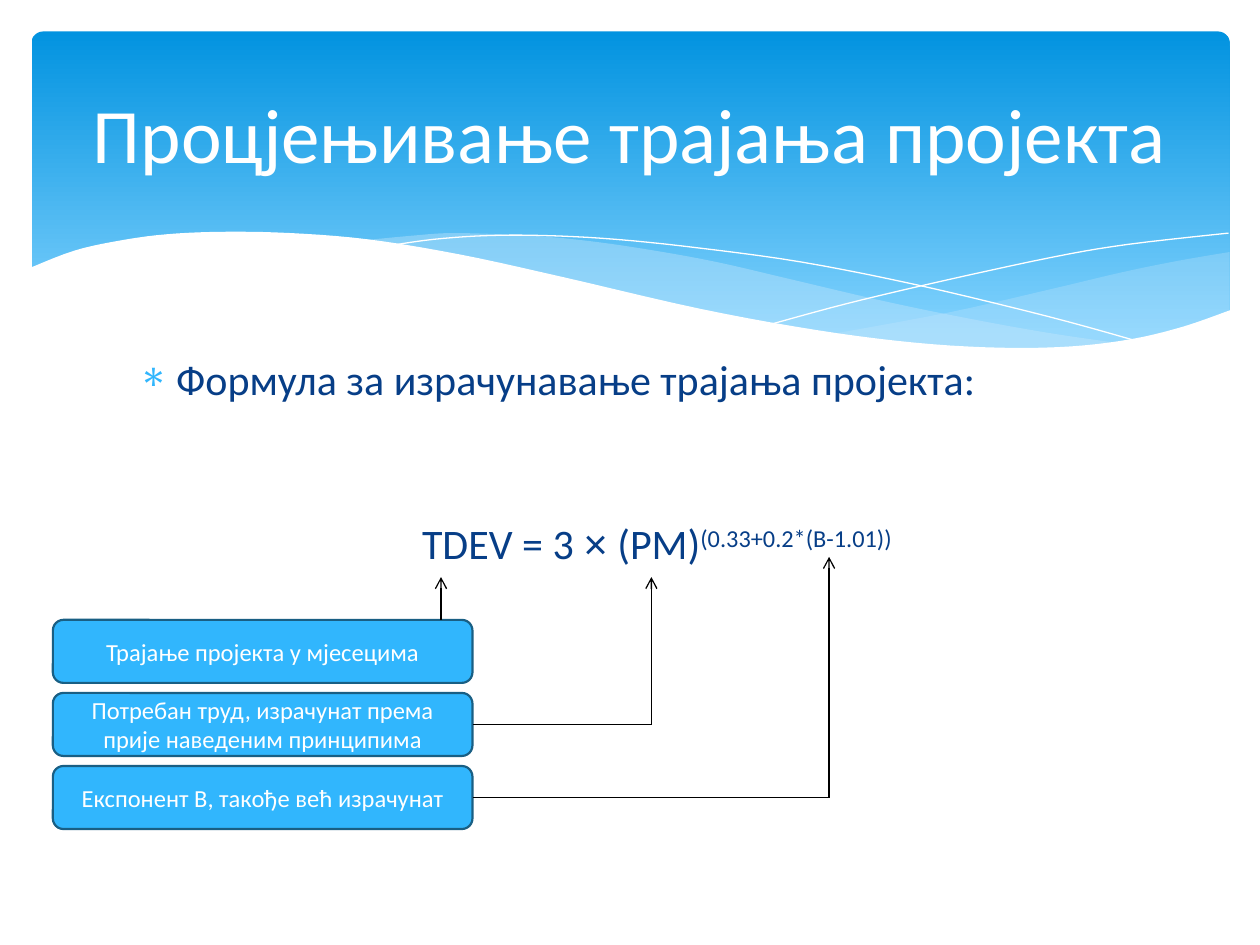
from dataclasses import dataclass
from typing import Optional

from lxml.etree import SubElement
from pptx import Presentation
from pptx.dml.color import RGBColor
from pptx.enum.shapes import MSO_CONNECTOR, MSO_SHAPE
from pptx.enum.text import MSO_ANCHOR, PP_ALIGN
from pptx.oxml.ns import qn
from pptx.util import Inches, Pt

Point = tuple[float, float]


@dataclass(frozen=True)
class Theme:
    font: str = "Calibri"
    symbol_font: str = "Arial"
    white: RGBColor = RGBColor.from_string("FFFFFF")
    black: RGBColor = RGBColor.from_string("000000")
    sky_dark: RGBColor = RGBColor.from_string("0293E0")
    sky_light: RGBColor = RGBColor.from_string("83D3FE")
    mist: RGBColor = RGBColor.from_string("C6E7FC")
    accent: RGBColor = RGBColor.from_string("31B6FD")
    border: RGBColor = RGBColor.from_string("195F84")
    text: RGBColor = RGBColor.from_string("073E87")
    title_size: int = 44
    body_size: int = 24
    label_size: int = 14


@dataclass(frozen=True)
class Wave:
    curve: list[Point]
    base: Optional[list[Point]] = None
    color: RGBColor = Theme.white
    alpha: int = 100


@dataclass(frozen=True)
class Label:
    text: str
    arrow_x: float
    tip_y: float


T = Theme()
BOX_LEFT, BOX_TOP, BOX_W, BOX_H, BOX_STEP = 0.42, 4.92, 3.33, 0.5, 0.58

WAVES = [
    Wave([(9.76, 2), (9.35, 2.07), (8.91, 2.16), (8.32, 2.3), (7.53, 2.48), (6.61, 2.65)],
         [(6.61, 2.65), (7.05, 2.71), (7.57, 2.76), (8.14, 2.78), (8.63, 2.75),
          (9.05, 2.69), (9.42, 2.59), (9.76, 2.47)], T.mist, 29),
    Wave([(8.93, 2.73), (8.37, 2.65), (7.75, 2.54), (7.06, 2.4), (6.29, 2.22), (5.69, 2.08),
          (5.14, 1.98), (4.65, 1.91), (4.2, 1.87), (3.61, 1.85), (3.28, 1.87), (2.86, 1.91)],
         [(2.86, 1.91), (3.42, 1.99), (4.04, 2.11), (4.91, 2.32), (5.66, 2.48), (6.34, 2.61),
          (6.95, 2.7), (7.48, 2.76), (8.07, 2.78), (8.57, 2.77), (8.93, 2.73)], T.mist, 40),
    Wave([(3.09, 1.95), (3.44, 1.9), (3.87, 1.87), (4.33, 1.87), (4.89, 1.9), (5.56, 1.97),
          (6.36, 2.08), (7.27, 2.26), (8.31, 2.51), (9.07, 2.72)]),
    Wave([(6.13, 2.57), (6.72, 2.41), (7.48, 2.23), (8.36, 2.04), (8.95, 1.94), (9.75, 1.85)]),
    Wave([(9.77, 2.46), (9.4, 2.59), (8.99, 2.69), (8.5, 2.75), (7.93, 2.76), (7.26, 2.72),
          (6.48, 2.62), (5.55, 2.45), (4.47, 2.2), (3.65, 2.02), (2.92, 1.9), (2.3, 1.85),
          (1.77, 1.84), (1.32, 1.86), (0.95, 1.91), (0.59, 1.99), (0.23, 2.13)],
         [(0.23, 3.29), (9.77, 3.29)]),
]

LABELS = [
    Label("Трајање пројекта у мјесецима", 3.5, 4.58),
    Label("Потребан труд, израчунат према прије наведеним принципима", 5.17, 4.58),
    Label("Експонент В, такође већ израчунат", 6.58, 4.42),
]


def smooth(pts: list[Point], steps: int = 5) -> list[Point]:
    padded = [pts[0], *pts, pts[-1]]
    out = [pts[0]]
    for a, b, c, d in zip(padded, padded[1:], padded[2:], padded[3:]):
        for i in range(1, steps + 1):
            t = i / steps
            out.append(tuple(
                0.5 * (2 * q + (u - p) * t + (2 * p - 5 * q + 4 * u - v) * t ** 2
                       + (3 * q - p - 3 * u + v) * t ** 3)
                for p, q, u, v in zip(a, b, c, d)))
    return out


def add_run(p, text: str, size: int, color: RGBColor, font: str = T.font):
    r = p.add_run()
    r.text = text
    r.font.name = font
    r.font.size = Pt(size)
    r.font.color.rgb = color
    return r


def draw_sky(s) -> None:
    sp = s.shapes.add_shape(MSO_SHAPE.ROUNDED_RECTANGLE, Inches(0.25), Inches(0.25),
                            Inches(9.51), Inches(2.7))
    sp.adjustments[0] = 0.034
    sp.shadow.inherit = False
    sp.line.fill.background()
    sp.fill.gradient()
    sp.fill.gradient_angle = 270
    stops = sp.fill.gradient_stops
    for stop, color, pos in zip(stops, (T.sky_dark, T.sky_light), (0, 0.9)):
        stop.color.rgb = color
        stop.position = pos


def draw_wave(s, wave: Wave) -> None:
    curve = smooth(wave.curve)
    base = wave.base or []
    if len(base) > 2:
        base = smooth(base)
    pts = [(Inches(x), Inches(y)) for x, y in curve + base]
    fb = s.shapes.build_freeform(*pts[0])
    fb.add_line_segments(pts[1:], close=bool(base))
    sp = fb.convert_to_shape()
    sp.shadow.inherit = False
    if not base:
        sp.fill.background()
        sp.line.color.rgb = wave.color
        sp.line.width = Pt(0)
        return
    sp.line.fill.background()
    sp.fill.solid()
    sp.fill.fore_color.rgb = wave.color
    if wave.alpha < 100:
        clr = sp.fill._xPr.find(".//" + qn("a:srgbClr"))
        SubElement(clr, qn("a:alpha"), val=str(wave.alpha * 1000))


def draw_title(s) -> None:
    sp = s.shapes.title
    s.shapes._spTree.append(sp._element)
    sp.left, sp.top, sp.width, sp.height = Inches(0.5), Inches(0.37), Inches(9), Inches(1.37)
    tf = sp.text_frame
    tf.vertical_anchor = MSO_ANCHOR.MIDDLE
    p = tf.paragraphs[0]
    p.alignment = PP_ALIGN.CENTER
    add_run(p, "Процјењивање трајања пројекта", T.title_size, T.white)


def draw_body(s) -> None:
    sp = s.shapes.add_textbox(Inches(1), Inches(2.76), Inches(8.1), Inches(2.07))
    tf = sp.text_frame
    tf.word_wrap = True
    p = tf.paragraphs[0]
    pPr = p._p.get_or_add_pPr()
    pPr.set("marL", str(Inches(0.3)))
    pPr.set("indent", str(Inches(-0.3)))
    clr = SubElement(pPr, qn("a:buClr"))
    SubElement(clr, qn("a:srgbClr"), val=str(T.accent))
    SubElement(pPr, qn("a:buChar"), char="∗")
    add_run(p, "Формула за израчунавање трајања пројекта:", T.body_size, T.text)

    p = tf.add_paragraph()
    p._p.get_or_add_pPr().set("marL", str(Inches(0.33)))
    p.alignment = PP_ALIGN.CENTER
    p.line_spacing = 0.9
    p.space_before = Pt(68)
    add_run(p, "TDEV = 3 ", T.body_size, T.text)
    add_run(p, "×", T.body_size, T.text, T.symbol_font)
    add_run(p, " (PM)", T.body_size, T.text)
    r = add_run(p, "(0.33+0.2*(B-1.01))", T.body_size, T.text)
    r._r.get_or_add_rPr().set("baseline", "30000")


def draw_line(s, start: Point, end: Point, arrow: bool = False) -> None:
    c = s.shapes.add_connector(MSO_CONNECTOR.STRAIGHT, *(Inches(v) for v in start + end))
    c.line.color.rgb = T.black
    c.line.width = Pt(0.75)
    if arrow:
        SubElement(c.line._get_or_add_ln(), qn("a:tailEnd"), type="arrow")
    SubElement(c._element.spPr, qn("a:effectLst"))


def draw_label(s, label: Label, top: float) -> None:
    sp = s.shapes.add_shape(MSO_SHAPE.ROUNDED_RECTANGLE, Inches(BOX_LEFT), Inches(top),
                            Inches(BOX_W), Inches(BOX_H))
    sp.shadow.inherit = False
    sp.fill.solid()
    sp.fill.fore_color.rgb = T.accent
    sp.line.color.rgb = T.border
    sp.line.width = Pt(1.25)
    tf = sp.text_frame
    tf.word_wrap = True
    tf.vertical_anchor = MSO_ANCHOR.MIDDLE
    p = tf.paragraphs[0]
    p.alignment = PP_ALIGN.CENTER
    add_run(p, label.text, T.label_size, T.white)

    right, middle = BOX_LEFT + BOX_W, top + BOX_H / 2
    start_y = top
    if label.arrow_x > right:
        start_y = middle
        draw_line(s, (right, middle), (label.arrow_x, middle))
    draw_line(s, (label.arrow_x, start_y), (label.arrow_x, label.tip_y), arrow=True)


def main() -> None:
    prs = Presentation()
    prs.slide_width, prs.slide_height = Inches(10), Inches(7.5)
    s = prs.slides.add_slide(prs.slide_layouts[5])
    draw_sky(s)
    for wave in WAVES:
        draw_wave(s, wave)
    draw_title(s)
    draw_body(s)
    for i, label in enumerate(LABELS):
        draw_label(s, label, BOX_TOP + i * BOX_STEP)
    prs.save("out.pptx")


if __name__ == "__main__":
    main()
